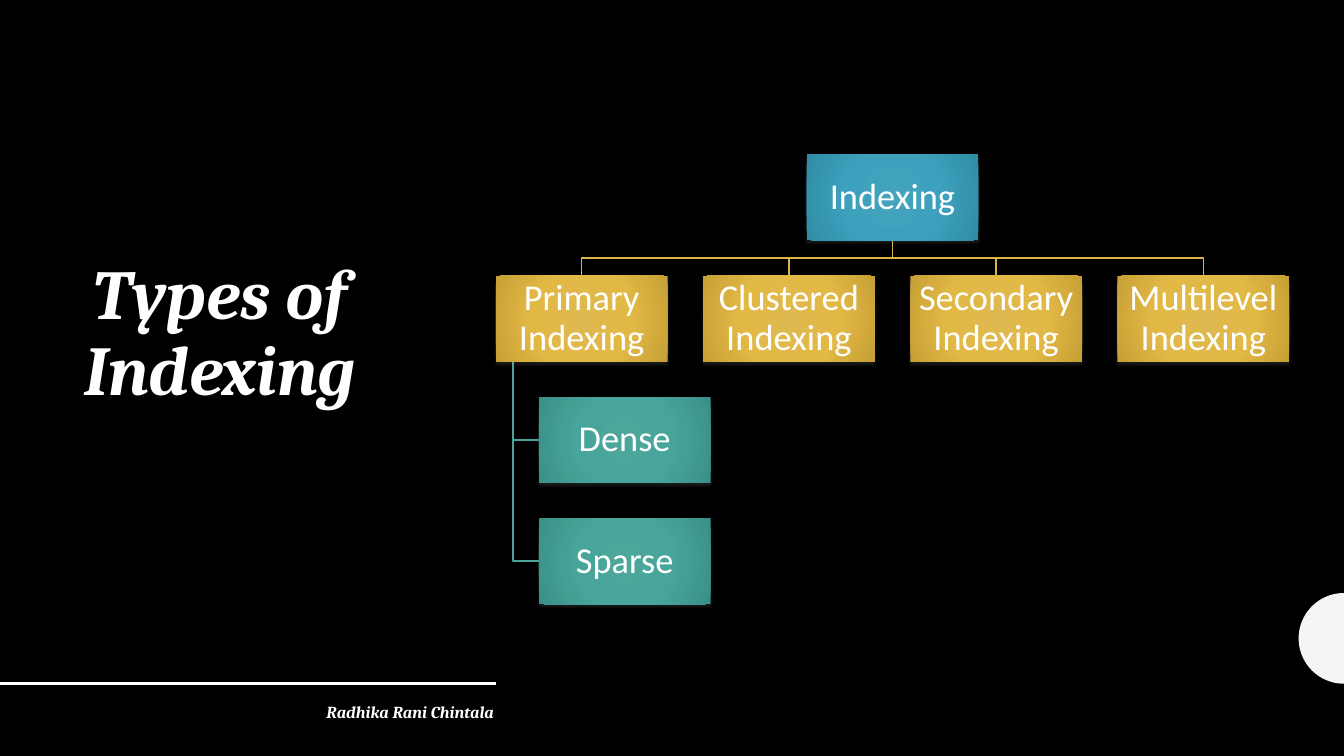
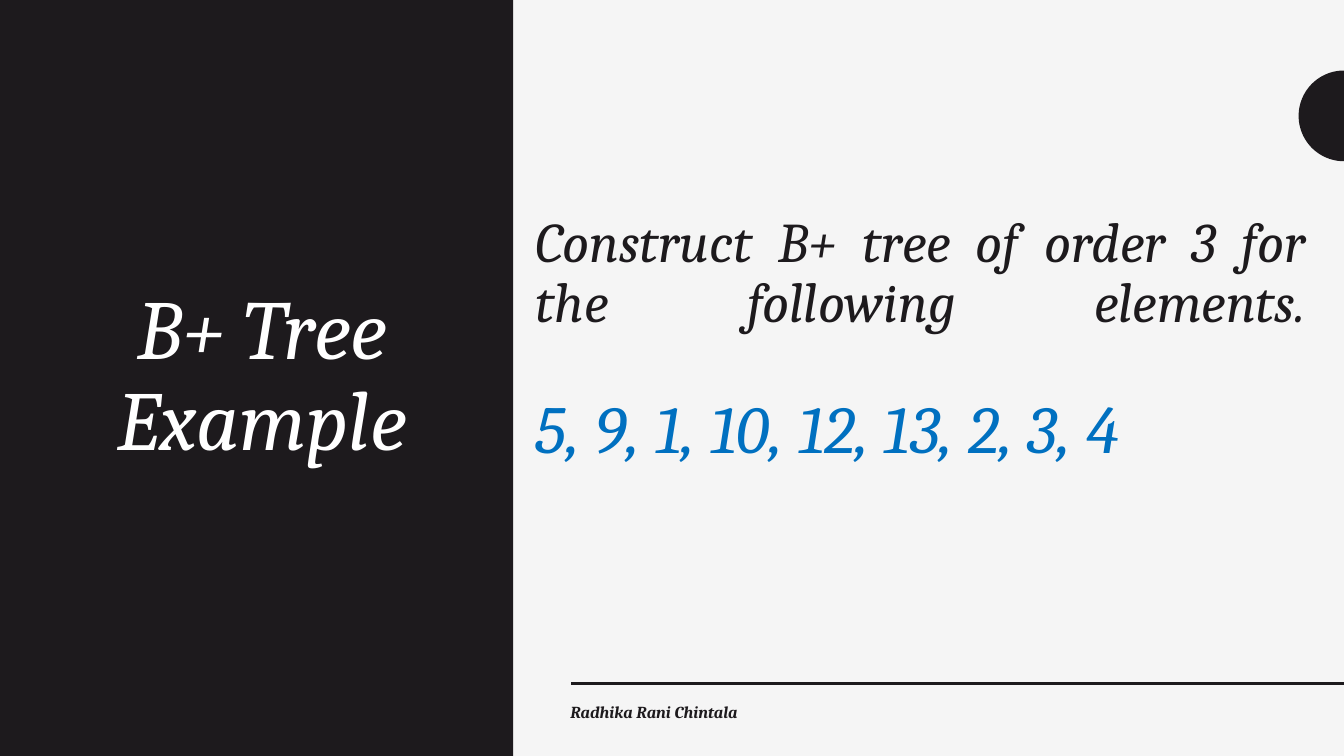
from copy import deepcopy
from math import cos, pi, sin

from pptx import Presentation
from pptx.dml.color import RGBColor
from pptx.enum.shapes import MSO_CONNECTOR, MSO_SHAPE
from pptx.enum.text import MSO_ANCHOR, PP_ALIGN
from pptx.oxml import parse_xml
from pptx.oxml.ns import nsdecls, qn
from pptx.util import Pt

RECT, STRAIGHT = MSO_SHAPE.RECTANGLE, MSO_CONNECTOR.STRAIGHT
TOP, MIDDLE = MSO_ANCHOR.TOP, MSO_ANCHOR.MIDDLE
LEFT, CENTER, RIGHT, JUSTIFY = (PP_ALIGN.LEFT, PP_ALIGN.CENTER,
                                PP_ALIGN.RIGHT, PP_ALIGN.JUSTIFY)

# Content
AUTHOR = "Radhika Rani Chintala"
TYPES_TITLE = "Types of Indexing"
ROOT = "Indexing"
KINDS = ["Primary Indexing", "Clustered Indexing",
         "Secondary Indexing", "Multilevel Indexing"]
PRIMARY_KINDS = ["Dense", "Sparse"]
EXAMPLE_TITLE = "B+ Tree Example"
TASK = "Construct B+ tree of order 3 for the following elements."
ELEMENTS = "5, 9, 1, 10, 12, 13, 2, 3, 4"

# Shared style
W, H = 960, 540
SERIF, SANS = "Cambria", "Calibri"
BLACK, DARK, LIGHT, WHITE, BLUE = "000000", "1D1A1D", "F5F5F5", "FFFFFF", "0070C0"
TEAL_BLUE = ("43A2BC", "3DA1BD", "2F8CA5")
GOLD = ("DFB950", "E3B946", "C7A035")
GREEN = ("4CA69C", "48A59B", "399087")
GOLD_LINE, GREEN_LINE = "DCB64D", "4CA198"
RULE_Y, FOOTER_Y, RADIUS = 488.2, 497.5, 32.4

# Tree grid
BOX_W, BOX_H = 122.7, 61.3
TREE_X, TREE_Y = 354.2, 110.3
STEP_X, STEP_Y = 148, 86.65

prs = Presentation()
prs.slide_width, prs.slide_height = Pt(W), Pt(H)


def color(hex_text):
    return RGBColor.from_string(hex_text)


def new_slide(background):
    s = prs.slides.add_slide(prs.slide_layouts[6])
    s.background.fill.solid()
    s.background.fill.fore_color.rgb = color(background)
    return s


def style_runs(p, size, ink, font=SERIF, bold=False, italic=True):
    for r in p.runs:
        r.font.name, r.font.size = font, Pt(size)
        r.font.bold, r.font.italic = bold, italic
        r.font.color.rgb = color(ink)


def add_text(s, text, x, y, w, h, size, ink, align, anchor=MIDDLE, bold=False):
    tf = s.shapes.add_textbox(Pt(x), Pt(y), Pt(w), Pt(h)).text_frame
    tf.word_wrap, tf.vertical_anchor = True, anchor
    p = tf.paragraphs[0]
    p.text, p.alignment = text, align
    if anchor == MIDDLE:
        p.line_spacing = 0.9
    style_runs(p, size, ink, bold=bold)
    return p


def add_rect(s, x, y, w, h, fill):
    sp = s.shapes.add_shape(RECT, Pt(x), Pt(y), Pt(w), Pt(h))
    sp.shadow.inherit = False
    sp.line.fill.background()
    sp.fill.solid()
    sp.fill.fore_color.rgb = color(fill)
    return sp


def add_outline(s, points, close):
    points = [(Pt(x), Pt(y)) for x, y in points]
    builder = s.shapes.build_freeform(*points[0])
    builder.add_line_segments(points[1:], close=close)
    sp = builder.convert_to_shape()
    sp.shadow.inherit = False
    return sp


def add_half_disc(s, center_y, fill):
    angles = [pi / 2 + pi * i / 48 for i in range(49)]
    sp = add_outline(s, [(W + RADIUS * cos(a), center_y - RADIUS * sin(a))
                         for a in angles], True)
    sp.fill.solid()
    sp.fill.fore_color.rgb = color(fill)
    sp.line.fill.background()


def add_footer(s, rule_x1, rule_x2, text_x, text_w, ink, align):
    rule = s.shapes.add_connector(STRAIGHT, Pt(rule_x1), Pt(RULE_Y),
                                  Pt(rule_x2), Pt(RULE_Y))
    rule.line.color.rgb, rule.line.width = color(ink), Pt(2)
    rule._element.spPr.append(parse_xml(f"<a:effectLst {nsdecls('a')}/>"))
    add_text(s, AUTHOR, text_x, FOOTER_Y, text_w, 28.8, 12, ink, align, TOP, True)


def add_branch(s, points, ink):
    sp = add_outline(s, points, False)
    sp.fill.background()
    sp.line.color.rgb, sp.line.width = color(ink), Pt(1)


def add_node(s, text, x, y, shades):
    sp = add_rect(s, x, y, BOX_W, BOX_H, shades[0])
    spPr = sp._element.spPr
    stops = "".join(f'<a:gs pos="{i * 50000}"><a:srgbClr val="{shade}"/></a:gs>'
                    for i, shade in enumerate(shades))
    spPr.replace(spPr.find(qn("a:solidFill")), parse_xml(
        f'<a:gradFill {nsdecls("a")}><a:gsLst>{stops}</a:gsLst><a:path path="circle">'
        '<a:fillToRect l="100000" t="100000" r="100000" b="100000"/>'
        '</a:path></a:gradFill>'))
    spPr.find(qn("a:effectLst")).append(parse_xml(
        f'<a:outerShdw {nsdecls("a")} blurRad="{Pt(2)}" dist="{Pt(2)}" dir="5400000">'
        f'<a:srgbClr val="{WHITE}"><a:alpha val="10000"/></a:srgbClr></a:outerShdw>'))
    tf = sp.text_frame
    tf.word_wrap, tf.vertical_anchor = True, MIDDLE
    tf.margin_left = tf.margin_right = tf.margin_top = tf.margin_bottom = Pt(1.5)
    p = tf.paragraphs[0]
    p.text, p.alignment, p.line_spacing = text, CENTER, 0.9
    style_runs(p, 26, WHITE, SANS, italic=False)


# Slide 1: tree of index types
s = new_slide(BLACK)
add_text(s, TYPES_TITLE, 21.6, 44, 271.4, 390, 50, WHITE, CENTER, bold=True)
add_half_disc(s, 456, LIGHT)
add_footer(s, 0, 354.2, 60, 300, WHITE, RIGHT)

root_x = TREE_X + STEP_X * (len(KINDS) - 1) / 2
root_mid = root_x + BOX_W / 2
kinds_y = TREE_Y + STEP_Y
bend_y = (TREE_Y + BOX_H + kinds_y) / 2
trunk_x, child_x = TREE_X + BOX_W * 0.1, TREE_X + BOX_W * 0.25
kind_spots = [(text, TREE_X + i * STEP_X) for i, text in enumerate(KINDS)]
child_spots = [(text, kinds_y + i * STEP_Y) for i, text in enumerate(PRIMARY_KINDS, 1)]

for _, x in kind_spots:
    mid = x + BOX_W / 2
    add_branch(s, [(root_mid, TREE_Y + BOX_H), (root_mid, bend_y),
                   (mid, bend_y), (mid, kinds_y)], GOLD_LINE)
for _, y in child_spots:
    mid = y + BOX_H / 2
    add_branch(s, [(trunk_x, kinds_y + BOX_H), (trunk_x, mid), (child_x, mid)],
               GREEN_LINE)
add_node(s, ROOT, root_x, TREE_Y, TEAL_BLUE)
for text, x in kind_spots:
    add_node(s, text, x, kinds_y, GOLD)
for text, y in child_spots:
    add_node(s, text, child_x, y, GREEN)

# Slide 2: B+ tree exercise
s = new_slide(LIGHT)
p = add_text(s, f"{TASK}\v\v{ELEMENTS}", 375.8, 50.4, 563.8, 386.6, 40, DARK, JUSTIFY)
for br in p._p.findall(qn("a:br")):
    br.append(deepcopy(p.runs[0]._r.rPr))
numbers = p.runs[-1]
numbers.font.size, numbers.font.color.rgb = Pt(48), color(BLUE)
add_rect(s, 0, 0, 366.5, H, DARK)
add_text(s, EXAMPLE_TITLE, 50.4, 50.4, 273.6, 439.2, 60, WHITE, CENTER)
add_half_disc(s, 82.8, DARK)
add_footer(s, 408, W, 400.3, 509, DARK, LEFT)

prs.save("out.pptx")
